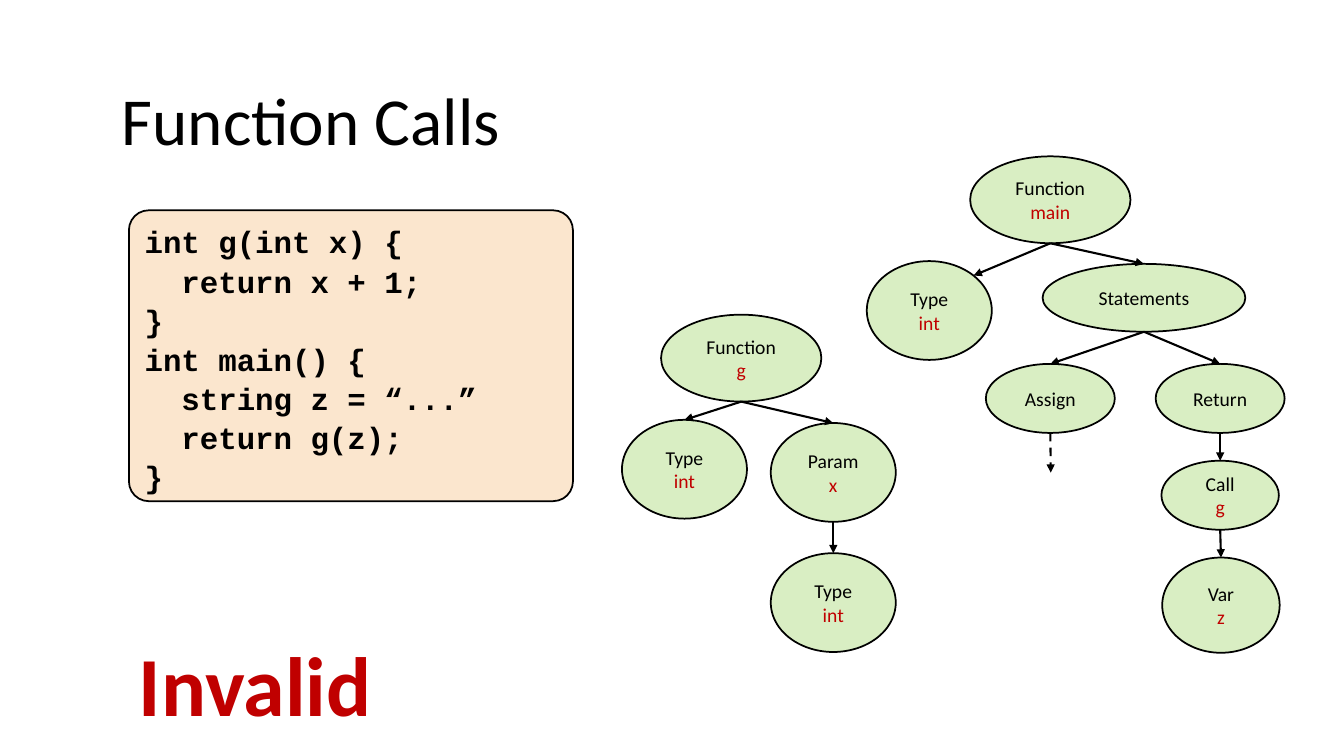
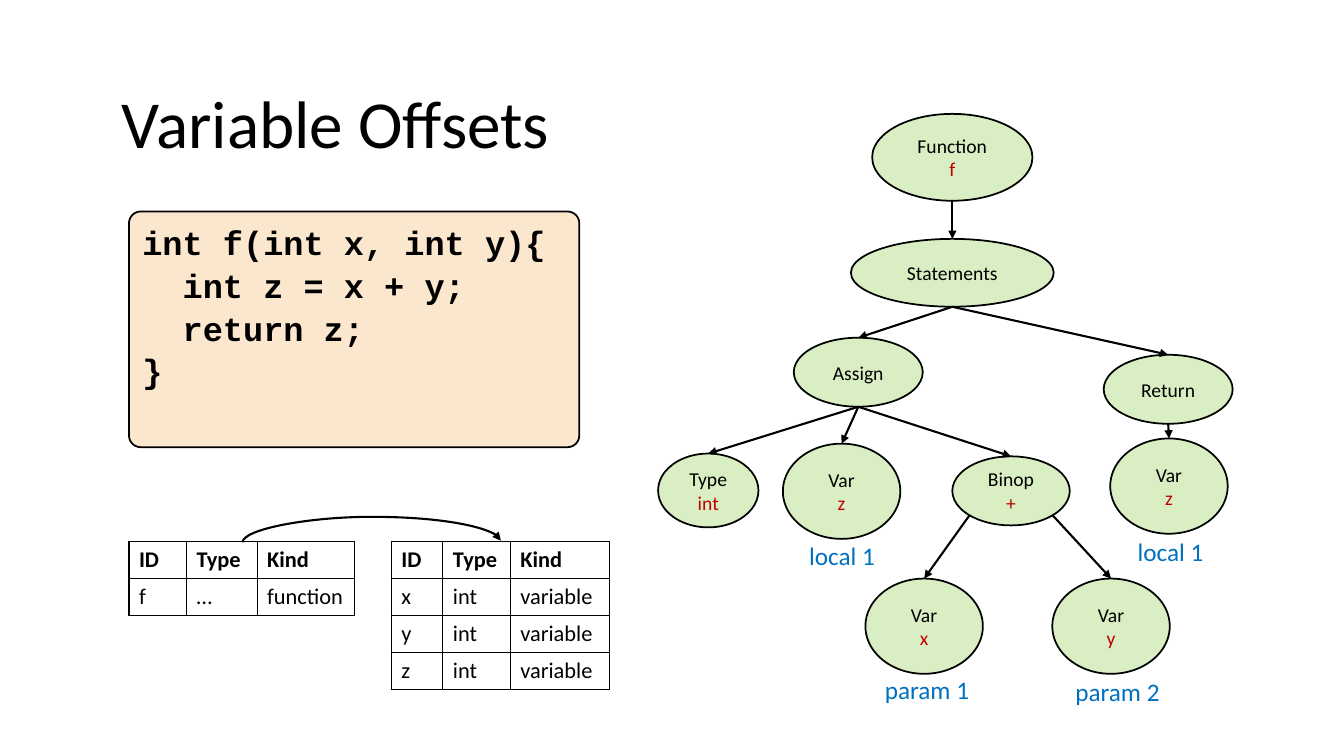
import pptx
import pptx.dml.color
import pptx.enum.dml
import pptx.enum.shapes
import pptx.enum.text
import pptx.oxml.ns
import pptx.util
from lxml import etree

Cm = pptx.util.Cm
Pt = pptx.util.Pt
qn = pptx.oxml.ns.qn
SHAPE = pptx.enum.shapes.MSO_SHAPE
CONNECTOR = pptx.enum.shapes.MSO_CONNECTOR
ALIGN = pptx.enum.text.PP_ALIGN

BLACK, WHITE = "000000", "FFFFFF"
RED, BLUE = "C00000", "0070C0"
GREEN, PEACH = "92D050", "FBE6CE"
BODY_FONT, CODE_FONT = "Calibri", "Courier New"

NODE_SIZES = {
    "Function": (4.04, 2.19),
    "Statements": (5.11, 1.71),
    "Assign": (3.25, 1.74),
    "Return": (3.25, 1.74),
    "Type": (3.15, 2.49),
    "Param": (3.15, 2.49),
    "Var": (2.96, 2.4),
    "Call": (2.96, 1.74),
    "Binop": (2.96, 1.74),
}
SMALL_TYPE = (2.53, 1.86)

NEAR, FAR = 0.146, 0.854
TOP, BOTTOM_LEFT, BOTTOM, BOTTOM_RIGHT, TOP_RIGHT = 0, 3, 4, 5, 7
ELLIPSE_SITES = {
    TOP: (0.5, 0),
    BOTTOM_LEFT: (NEAR, FAR),
    BOTTOM: (0.5, 1),
    BOTTOM_RIGHT: (FAR, FAR),
    TOP_RIGHT: (FAR, NEAR),
}


def rgb(value):
    return pptx.dml.color.RGBColor.from_string(value)


def write_text(frame, lines, size, colors=(BLACK,), font=BODY_FONT, bold=False,
               align=ALIGN.LEFT, spacing=None):
    frame.text = "\n".join(lines)
    for index, para in enumerate(frame.paragraphs):
        para.alignment = align
        if spacing:
            para.line_spacing = spacing
        for span in para.runs:
            span.font.name = font
            span.font.size = Pt(size)
            span.font.bold = bold
            span.font.color.rgb = rgb(colors[min(index, len(colors) - 1)])


def add_text(slide, left, top, width, height, text, size, color=BLACK, bold=False):
    box = slide.shapes.add_textbox(Cm(left), Cm(top), Cm(width), Cm(height))
    frame = box.text_frame
    frame.word_wrap = True
    frame.auto_size = pptx.enum.text.MSO_AUTO_SIZE.SHAPE_TO_FIT_TEXT
    write_text(frame, [text], size, (color,), bold=bold)


def add_titled_slide(deck, title, top):
    slide = deck.slides.add_slide(deck.slide_layouts[6])
    add_text(slide, 2.82, top, 28.17, 2.31, title, 48)
    return slide


def add_outlined(slide, preset, left, top, width, height, fill):
    shape = slide.shapes.add_shape(preset, Cm(left), Cm(top), Cm(width), Cm(height))
    shape.shadow.inherit = False
    shape.fill.solid()
    shape.fill.fore_color.rgb = rgb(fill)
    shape.line.color.rgb = rgb(BLACK)
    shape.line.width = Pt(1.25)
    return shape


def add_code(slide, top, width, height, rounding, lines, size):
    box = add_outlined(slide, SHAPE.ROUNDED_RECTANGLE, 3.25, top, width, height, PEACH)
    box.adjustments[0] = rounding
    box.text_frame.vertical_anchor = pptx.enum.text.MSO_ANCHOR.TOP
    write_text(box.text_frame, lines, size, font=CODE_FONT, bold=True, spacing=1.06)


def add_node(slide, label, detail, center, top, size=None):
    width, height = size or NODE_SIZES[label]
    node = add_outlined(slide, SHAPE.OVAL, center - width / 2, top, width, height, GREEN)
    color = node.fill._xPr.find(".//" + qn("a:srgbClr"))
    etree.SubElement(color, qn("a:alpha"), val="34000")
    node.text_frame.vertical_anchor = pptx.enum.text.MSO_ANCHOR.MIDDLE
    lines = [label, detail] if detail else [label]
    write_text(node.text_frame, lines, 14, (BLACK, RED), align=ALIGN.CENTER)
    return node


def add_nodes(slide, nodes):
    return {name: add_node(slide, *values) for name, values in nodes.items()}


def add_arrow(slide, start, end, kind=CONNECTOR.STRAIGHT, dashed=False):
    arrow = slide.shapes.add_connector(kind, *start, *end)
    arrow.line.color.rgb = rgb(BLACK)
    arrow.line.width = Pt(1.5)
    if dashed:
        arrow.line.dash_style = pptx.enum.dml.MSO_LINE.DASH
    properties = arrow._element.spPr
    etree.SubElement(properties.find(qn("a:ln")), qn("a:tailEnd"), type="triangle")
    etree.SubElement(properties, qn("a:effectLst"))
    return arrow


def site_point(node, site):
    across, down = ELLIPSE_SITES[site]
    return int(node.left + across * node.width), int(node.top + down * node.height)


def join_nodes(slide, parent, child, start=BOTTOM, end=TOP):
    arrow = add_arrow(slide, site_point(parent, start), site_point(child, end))
    joints = arrow._element.find(".//" + qn("p:cNvCxnSpPr"))
    for tag, node, site in (("a:stCxn", parent, start), ("a:endCxn", child, end)):
        etree.SubElement(joints, qn(tag), id=str(node.shape_id), idx=str(site))


def join_tree(slide, nodes, edges):
    for parent, child, *sites in edges:
        join_nodes(slide, nodes[parent], nodes[child], *sites)


def add_borders(cell):
    properties = cell._tc.get_or_add_tcPr()
    for index, side in enumerate(("a:lnL", "a:lnR", "a:lnT", "a:lnB")):
        line = etree.Element(qn(side), w=str(Pt(1)))
        fill = etree.SubElement(line, qn("a:solidFill"))
        etree.SubElement(fill, qn("a:srgbClr"), val=BLACK)
        properties.insert(index, line)


def add_symbol_table(slide, left, widths, rows):
    row_height = 0.93
    table = slide.shapes.add_table(
        len(rows) + 1, len(widths), Cm(left), Cm(13.64),
        Cm(sum(widths)), Cm(row_height * (len(rows) + 1))).table
    for column, width in zip(table.columns, widths):
        column.width = Cm(width)
    for row_index, values in enumerate([("ID", "Type", "Kind"), *rows]):
        table.rows[row_index].height = Cm(row_height)
        for column_index, value in enumerate(values):
            cell = table.cell(row_index, column_index)
            cell.fill.solid()
            cell.fill.fore_color.rgb = rgb(WHITE)
            write_text(cell.text_frame, [value], 16, bold=row_index == 0)
            add_borders(cell)


def add_scope_arrow(slide):
    arrow = add_arrow(slide, (Cm(9.39), Cm(16.9)), (Cm(9.35), Cm(10.39)), CONNECTOR.CURVE)
    properties = arrow._element.spPr
    properties.find(qn("a:xfrm")).set("rot", "5400000")
    geometry = properties.find(qn("a:prstGeom"))
    guides = geometry.find(qn("a:avLst"))
    if guides is None:
        guides = etree.SubElement(geometry, qn("a:avLst"))
    etree.SubElement(guides, qn("a:gd"), name="adj1", fmla="val 1600000")


def build_function_calls(deck):
    slide = add_titled_slide(deck, "Function Calls", 1.85)
    nodes = add_nodes(slide, {
        "main": ("Function", "main", 26.47, 3.94),
        "main type": ("Type", "int", 23.42, 6.58),
        "body": ("Statements", None, 28.83, 6.65),
        "assign": ("Assign", None, 26.47, 9.17),
        "return": ("Return", None, 30.75, 9.17),
        "call": ("Call", "g", 30.75, 11.61),
        "argument": ("Var", "z", 30.77, 14.05),
        "g": ("Function", "g", 18.68, 7.93),
        "g type": ("Type", "int", 17.25, 10.58),
        "param": ("Param", "x", 21, 10.66),
        "param type": ("Type", "int", 21, 13.94),
    })
    join_tree(slide, nodes, [
        ("main", "main type", BOTTOM, TOP_RIGHT),
        ("main", "body"),
        ("body", "assign"),
        ("body", "return"),
        ("return", "call"),
        ("call", "argument"),
        ("g", "g type"),
        ("g", "param"),
        ("param", "param type"),
    ])
    add_arrow(slide, site_point(nodes["assign"], BOTTOM), (Cm(26.48), Cm(11.91)), dashed=True)
    add_code(slide, 5.3, 11.19, 7.33, 0.068, [
        "int g(int x) {",
        "  return x + 1;",
        "}",
        "int main() {",
        "  string z = “...”",
        "  return g(z);",
        "}",
    ], 22)
    add_text(slide, 3.25, 15.82, 7.77, 2.82, "Invalid", 60, RED, bold=True)


def build_variable_offsets(deck):
    slide = add_titled_slide(deck, "Variable Offsets", 1.93)
    nodes = add_nodes(slide, {
        "f": ("Function", "f", 24, 2.87),
        "body": ("Statements", None, 24, 6.02),
        "assign": ("Assign", None, 21.63, 8.51),
        "return": ("Return", None, 29.44, 8.94),
        "result": ("Var", "z", 29.46, 11.05),
        "type": ("Type", "int", 17.85, 11.43, SMALL_TYPE),
        "target": ("Var", "z", 21.21, 11.18),
        "sum": ("Binop", "+", 25.48, 11.5),
        "x": ("Var", "x", 23.29, 14.58),
        "y": ("Var", "y", 28, 14.58),
    })
    join_tree(slide, nodes, [
        ("f", "body"),
        ("body", "assign"),
        ("body", "return"),
        ("return", "result"),
        ("assign", "type"),
        ("assign", "target"),
        ("assign", "sum"),
        ("sum", "x", BOTTOM_LEFT),
        ("sum", "y", BOTTOM_RIGHT),
    ])
    for text, left, top in (("param 1", 22.05, 16.87), ("param 2", 26.85, 16.92),
                            ("local 1", 20.14, 13.49), ("local 1", 28.42, 13.39)):
        add_text(slide, left, top, 2.64, 1.02, text, 18, BLUE)
    add_code(slide, 5.33, 11.35, 5.94, 0.05, [
        "int f(int x, int y){",
        "  int z = x + y;",
        "  return z;",
        "}",
    ], 24)
    add_symbol_table(slide, 3.25, (1.45, 1.78, 2.46), [("f", "…", "function")])
    add_symbol_table(slide, 9.86, (1.3, 1.7, 2.51),
                     [(name, "int", "variable") for name in "xyz"])
    add_scope_arrow(slide)


def main():
    deck = pptx.Presentation()
    deck.slide_width, deck.slide_height = Cm(33.87), Cm(19.05)
    build_function_calls(deck)
    build_variable_offsets(deck)
    deck.save("out.pptx")


if __name__ == "__main__":
    main()
